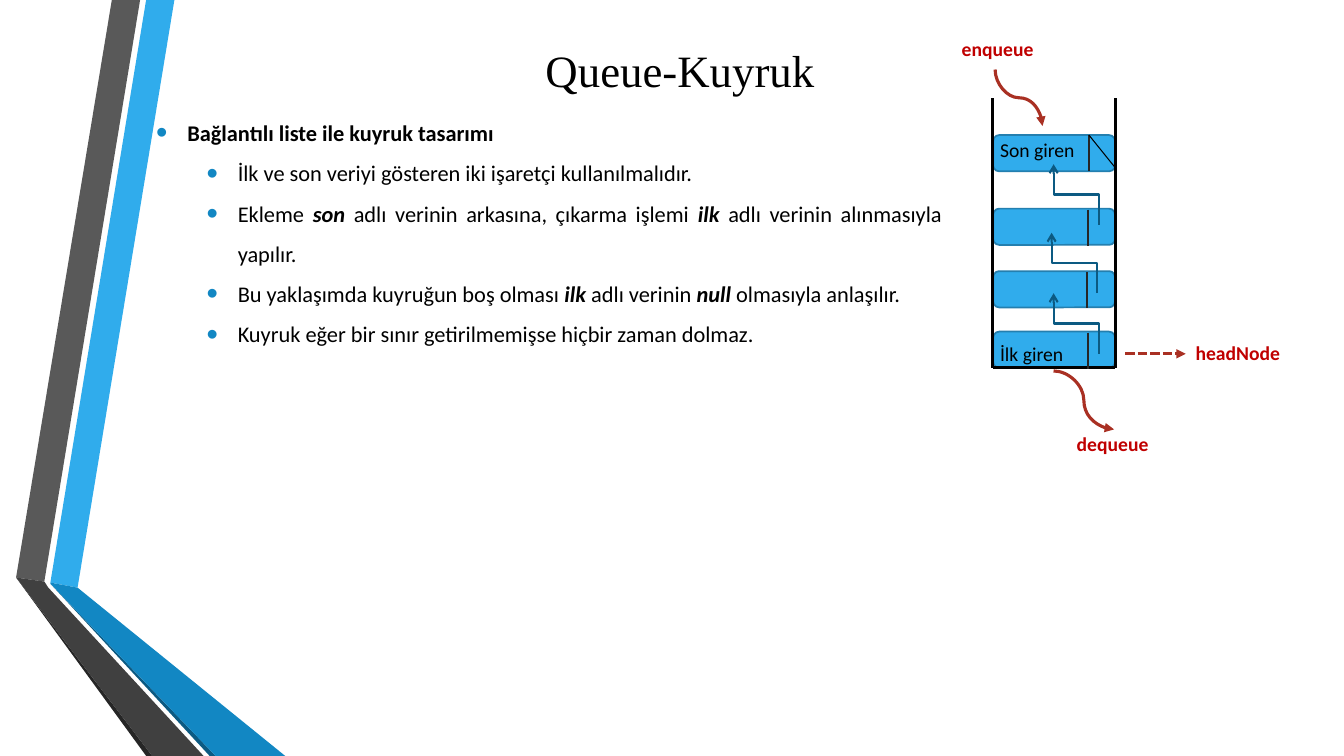
from dataclasses import dataclass

import pptx
import pptx.dml.color
import pptx.enum.dml
import pptx.enum.shapes
import pptx.enum.text
import pptx.oxml
import pptx.oxml.ns
import pptx.shapes.shapetree
import pptx.text.text
import pptx.util

Inches = pptx.util.Inches
Pt = pptx.util.Pt
Shapes = pptx.shapes.shapetree.SlideShapes
ConnectorType = pptx.enum.shapes.MSO_CONNECTOR
Align = pptx.enum.text.PP_ALIGN
Anchor = pptx.enum.text.MSO_ANCHOR

COLORS = {
    "black": "000000",
    "sky": "30ACEC",
    "blue": "1287C3",
    "navy": "0C5A82",
    "node_edge": "247FAF",
    "grey": "595959",
    "dark_grey": "404040",
    "charcoal": "262626",
    "brick": "A93023",
    "red": "C00000",
}


@dataclass(frozen=True)
class Ribbon:
    color: str
    points: tuple[tuple[float, float], ...]


@dataclass(frozen=True)
class Label:
    text: str
    left: float
    top: float
    width: float
    color: str = "red"
    bold: bool = True


@dataclass(frozen=True)
class Link:
    start: tuple[float, float]
    end: tuple[float, float]
    color: str
    weight: float
    kind: ConnectorType = ConnectorType.STRAIGHT
    head: str = ""
    dashed: bool = False
    vertical_first: bool = False


@dataclass(frozen=True)
class Bullet:
    text: str
    level: int = 1


RIBBONS = (
    Ribbon("sky", ((0.5, 5.78), (0.77, 5.83), (1.73, 0), (1.45, 0))),
    Ribbon("grey", ((1.39, 0), (1.11, 0), (0.16, 5.73), (0.44, 5.77))),
    Ribbon("charcoal", ((0.16, 5.73), (1.45, 7.5), (1.51, 7.5))),
    Ribbon("navy", ((0.5, 5.79), (2.08, 7.5), (2.14, 7.5))),
    Ribbon("blue", ((0.5, 5.79), (2.14, 7.5), (2.83, 7.5), (0.77, 5.83), (0.5, 5.78))),
    Ribbon("dark_grey", ((2.02, 7.5), (0.48, 5.83), (0.44, 5.77), (0.16, 5.73), (1.51, 7.5))),
)
BULLETS = (
    Bullet("*Bağlantılı liste ile kuyruk tasarımı*", 0),
    Bullet("İlk ve son veriyi gösteren iki işaretçi kullanılmalıdır."),
    Bullet("Ekleme *son* adlı verinin arkasına, çıkarma işlemi *ilk* adlı verinin alınmasıyla yapılır."),
    Bullet("Bu yaklaşımda kuyruğun boş olması* ilk *adlı verinin *null* olmasıyla anlaşılır."),
    Bullet("Kuyruk eğer bir sınır getirilmemişse hiçbir zaman dolmaz."),
)
NODE_TOPS = (1.34, 2.07, 2.69, 3.29)
NODE_LEFT, NODE_WIDTH, NODE_HEIGHT = 9.85, 1.21, 0.36
QUEUE_LEFT, QUEUE_RIGHT, QUEUE_TOP, QUEUE_BOTTOM = 9.84, 11.06, 0.97, 3.65
WALLS = tuple(
    Link(start, end, "black", 2.25)
    for start, end in (
        ((NODE_LEFT, QUEUE_BOTTOM), (QUEUE_RIGHT, QUEUE_BOTTOM)),
        ((QUEUE_RIGHT, QUEUE_BOTTOM), (QUEUE_RIGHT, QUEUE_TOP)),
        ((QUEUE_LEFT, QUEUE_BOTTOM), (QUEUE_LEFT, QUEUE_TOP)),
    )
)
DIVIDERS = tuple(
    Link((x, top), (x, top + NODE_HEIGHT), "charcoal", 1.5)
    for x, top in ((10.8, 1.34), (10.79, 2.08), (10.78, 2.7), (10.79, 3.3))
)
POINTERS = tuple(
    Link((x, y), (x - 0.45, y - 0.6), "navy", 1.5, ConnectorType.ELBOW, "arrow", vertical_first=True)
    for x, y in ((10.9, 3.51), (10.88, 2.91), (10.9, 2.23))
)
NULL_MARK = Link((10.8, 1.34), (11.05, 1.65), "black", 0.75)
OPERATIONS = (
    Link((9.87, 0.69), (10.34, 1.25), "brick", 2.25, ConnectorType.CURVE, "triangle", vertical_first=True),
    Link((10.45, 3.68), (11.05, 4.26), "brick", 2.25, ConnectorType.CURVE, "triangle"),
    Link((11.16, 3.51), (11.76, 3.51), "brick", 2.25, head="triangle", dashed=True),
)
LABELS = (
    Label("İlk giren", 9.82, 3.34, 0.93, "black", False),
    Label("Son giren", 9.82, 1.32, 1.08, "black", False),
    Label("enqueue", 9.44, 0.32, 1.01),
    Label("dequeue", 10.58, 4.24, 0.95),
    Label("headNode", 11.76, 3.33, 1.16),
)


def rgb(name: str) -> pptx.dml.color.RGBColor:
    return pptx.dml.color.RGBColor.from_string(COLORS[name])


def set_font(paragraph: pptx.text.text._Paragraph, face: str, size: float, color: str) -> None:
    paragraph.font.name = face
    paragraph.font.size = Pt(size)
    paragraph.font.color.rgb = rgb(color)


def draw_ribbon(shapes: Shapes, ribbon: Ribbon) -> None:
    corners = [(Inches(x), Inches(y)) for x, y in ribbon.points]
    outline = shapes.build_freeform(*corners[0])
    outline.add_line_segments(corners[1:], close=True)
    band = outline.convert_to_shape()
    band.shadow.inherit = False
    band.fill.solid()
    band.fill.fore_color.rgb = rgb(ribbon.color)
    band.line.fill.background()


def draw_node(shapes: Shapes, top: float) -> None:
    node = shapes.add_shape(
        pptx.enum.shapes.MSO_SHAPE.ROUNDED_RECTANGLE,
        Inches(NODE_LEFT), Inches(top), Inches(NODE_WIDTH), Inches(NODE_HEIGHT),
    )
    node.shadow.inherit = False
    node.fill.solid()
    node.fill.fore_color.rgb = rgb("sky")
    node.line.color.rgb = rgb("node_edge")
    node.line.width = Pt(1.25)


def draw_link(shapes: Shapes, link: Link) -> None:
    (x1, y1), (x2, y2) = link.start, link.end
    if link.vertical_first:
        mid_x, mid_y = (x1 + x2) / 2, (y1 + y2) / 2
        half_x, half_y = (y1 - y2) / 2, (x2 - x1) / 2
        x1, y1, x2, y2 = mid_x - half_x, mid_y - half_y, mid_x + half_x, mid_y + half_y
    connector = shapes.add_connector(link.kind, Inches(x1), Inches(y1), Inches(x2), Inches(y2))
    connector.line.color.rgb = rgb(link.color)
    connector.line.width = Pt(link.weight)
    if link.dashed:
        connector.line.dash_style = pptx.enum.dml.MSO_LINE.SQUARE_DOT
    properties = connector._element.spPr
    if link.vertical_first:
        properties.find(pptx.oxml.ns.qn("a:xfrm")).set("rot", str(270 * 60000))
    if link.head:
        tail = pptx.oxml.parse_xml(f'<a:tailEnd {pptx.oxml.ns.nsdecls("a")} type="{link.head}"/>')
        properties.find(pptx.oxml.ns.qn("a:ln")).append(tail)
    properties.append(pptx.oxml.parse_xml(f'<a:effectLst {pptx.oxml.ns.nsdecls("a")}/>'))


def draw_label(shapes: Shapes, label: Label) -> None:
    box = shapes.add_textbox(Inches(label.left), Inches(label.top), Inches(label.width), Inches(0.34))
    box.text_frame.word_wrap = True
    box.text_frame.auto_size = pptx.enum.text.MSO_AUTO_SIZE.SHAPE_TO_FIT_TEXT
    paragraph = box.text_frame.paragraphs[0]
    paragraph.text = label.text
    set_font(paragraph, "Calibri", 14, label.color)
    paragraph.font.bold = label.bold


def write_bullet(paragraph: pptx.text.text._Paragraph, bullet: Bullet) -> None:
    paragraph.level = bullet.level
    paragraph.alignment = Align.JUSTIFY
    paragraph.line_spacing = 1.5
    set_font(paragraph, "Calibri", 16, "black")
    for position, part in enumerate(bullet.text.split("*")):
        if part:
            run = paragraph.add_run()
            run.text = part
            run.font.bold = position % 2 == 1
            run.font.italic = position % 2 == 1 and bullet.level > 0
    properties = paragraph._p.get_or_add_pPr()
    properties.set("marL", str(Inches(0.31 + 0.5 * bullet.level)))
    properties.set("indent", str(Inches(-0.31)))
    marks = (
        f'buClr {{ns}}><a:srgbClr val="{COLORS["blue"]}"/></a:buClr>',
        'buSzPct {ns} val="145000"/>',
        'buFont {ns} typeface="Arial"/>',
        'buChar {ns} char="•"/>',
    )
    for mark in marks:
        xml = "<a:" + mark.format(ns=pptx.oxml.ns.nsdecls("a"))
        properties.insert_element_before(pptx.oxml.parse_xml(xml), "a:defRPr")


def main() -> None:
    deck = pptx.Presentation()
    deck.slide_width, deck.slide_height = Inches(13.33), Inches(7.5)
    slide = deck.slides.add_slide(deck.slide_layouts[5])
    shapes = slide.shapes
    for ribbon in RIBBONS:
        draw_ribbon(shapes, ribbon)

    title = shapes.title
    title.left, title.top, title.width, title.height = Inches(1.55), Inches(0.17), Inches(10.39), Inches(1.04)
    title.text_frame.vertical_anchor = Anchor.MIDDLE
    heading = title.text_frame.paragraphs[0]
    heading.text = "Queue-Kuyruk"
    heading.alignment = Align.CENTER
    set_font(heading, "Times New Roman", 32, "black")

    explanation = shapes.add_textbox(Inches(1.45), Inches(1), Inches(7.99), Inches(6.24)).text_frame
    explanation.word_wrap = True
    for position, bullet in enumerate(BULLETS):
        write_bullet(explanation.add_paragraph() if position else explanation.paragraphs[0], bullet)

    for top in NODE_TOPS:
        draw_node(shapes, top)
    for link in (*WALLS, *OPERATIONS, *DIVIDERS, NULL_MARK, *POINTERS):
        draw_link(shapes, link)
    for label in LABELS:
        draw_label(shapes, label)
    deck.save("out.pptx")


if __name__ == "__main__":
    main()
